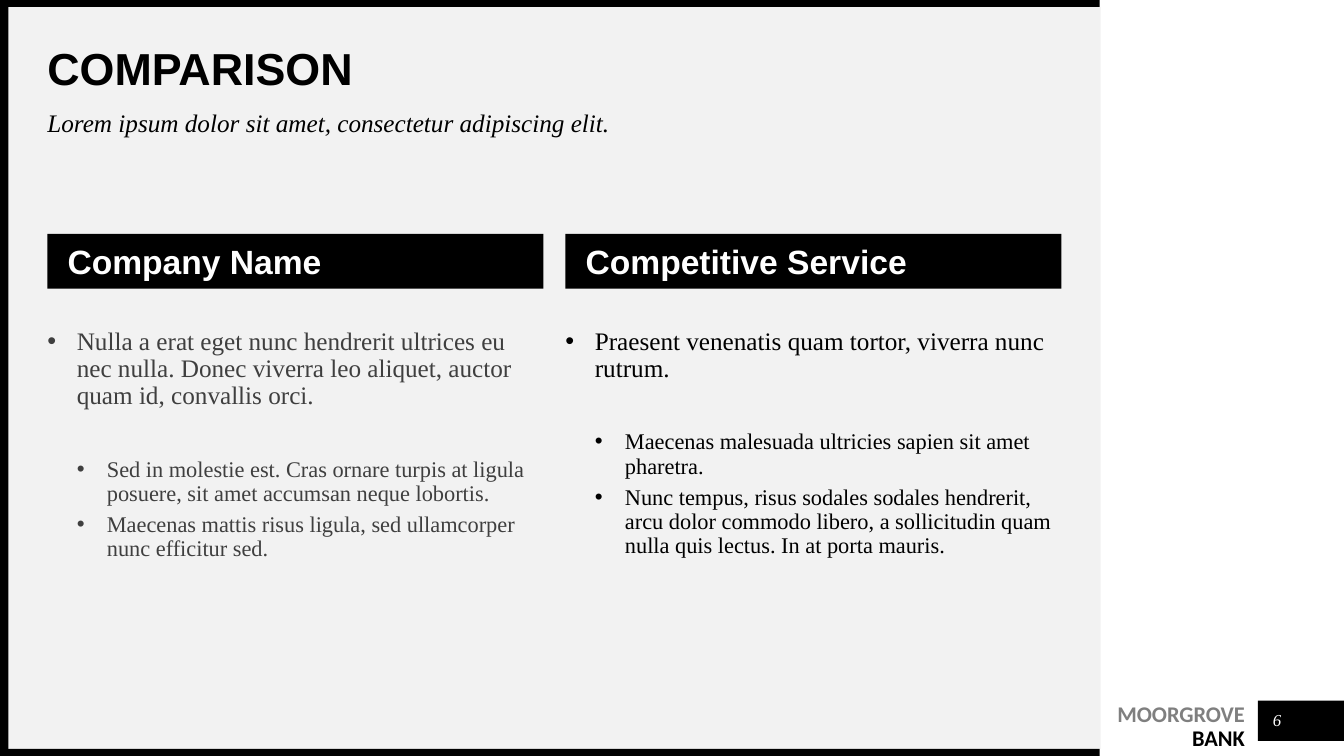
from dataclasses import dataclass

import lxml.etree
import pptx
import pptx.dml.color
import pptx.enum.shapes
import pptx.enum.text
import pptx.oxml.ns
import pptx.util

Pt = pptx.util.Pt
ALIGN = pptx.enum.text.PP_ALIGN
ANCHOR = pptx.enum.text.MSO_ANCHOR

COLORS = {
    "black": "000000",
    "white": "FFFFFF",
    "panel": "F2F2F2",
    "charcoal": "3F3F3F",
    "gray": "7F7F7F",
}
FORMATS = {
    "title": {"name": "Arial", "size": Pt(32), "bold": True},
    "subtitle": {"name": "Times New Roman", "size": Pt(18), "italic": True},
    "heading": {"name": "Arial", "size": Pt(24), "bold": True},
    "point": {"name": "Times New Roman", "size": Pt(18)},
    "detail": {"name": "Times New Roman", "size": Pt(16)},
    "wordmark": {"name": "Calibri", "size": Pt(16), "bold": True},
    "number": {"name": "Times New Roman", "size": Pt(12), "italic": True},
}


@dataclass
class Box:
    left: float
    top: float
    width: float
    height: float


@dataclass
class Block:
    box: Box
    color: str


@dataclass
class Label:
    box: Box
    text: str
    style: str
    color: str = "black"
    anchor: ANCHOR = ANCHOR.TOP
    align: ALIGN = ALIGN.LEFT


@dataclass
class Column:
    heading: str
    color: str
    point: str
    details: list[str]


BLOCKS = [
    Block(Box(5.76, 5.04, 780.48, 529.92), "panel"),
    Block(Box(898.56, 500.4, 61.44, 28.8), "black"),
    Block(Box(0, 535, 785.52, 5), "black"),
    Block(Box(0, 0, 785.52, 5), "black"),
    Block(Box(0, 0, 6, 540), "black"),
]
MARGIN = 33.84
LABELS = [
    Label(Box(MARGIN, 33.84, 724.32, 33.84), "COMPARISON", "title", anchor=ANCHOR.MIDDLE),
    Label(Box(MARGIN, 79.2, 724.32, 28.08),
          "Lorem ipsum dolor sit amet, consectetur adipiscing elit.", "subtitle"),
    Label(Box(901.44, 504, 21.6, 21.6), "6", "number", "white", ANCHOR.MIDDLE, ALIGN.CENTER),
]
COLUMN_WIDTH = 354.24
COLUMN_STEP = 370.08
COLUMNS = [
    Column(
        "Company Name", "charcoal",
        "Nulla a erat eget nunc hendrerit ultrices eu nec nulla. "
        "Donec viverra leo aliquet, auctor quam id, convallis orci.",
        ["Sed in molestie est. Cras ornare turpis at ligula posuere, "
         "sit amet accumsan neque lobortis.",
         "Maecenas mattis risus ligula, sed ullamcorper nunc efficitur sed."],
    ),
    Column(
        "Competitive Service", "black",
        "Praesent venenatis quam tortor, viverra nunc rutrum.",
        ["Maecenas malesuada ultricies sapien sit amet pharetra.",
         "Nunc tempus, risus sodales sodales hendrerit, arcu dolor commodo libero, "
         "a sollicitudin quam nulla quis lectus. In at porta mauris."],
    ),
]


def rgb(color: str) -> pptx.dml.color.RGBColor:
    return pptx.dml.color.RGBColor.from_string(COLORS[color])


def place(box: Box) -> tuple:
    return Pt(box.left), Pt(box.top), Pt(box.width), Pt(box.height)


def add_block(slide, block: Block):
    shape = slide.shapes.add_shape(
        pptx.enum.shapes.MSO_SHAPE.RECTANGLE, *place(block.box))
    shape.shadow.inherit = False
    shape.fill.solid()
    shape.fill.fore_color.rgb = rgb(block.color)
    shape.line.fill.background()
    return shape


def prepare_frame(shape, anchor: ANCHOR = ANCHOR.TOP, left: float = 0, top: float = 0):
    frame = shape.text_frame
    settings = {
        "word_wrap": True, "vertical_anchor": anchor,
        "margin_left": Pt(left), "margin_top": Pt(top),
        "margin_right": 0, "margin_bottom": 0,
    }
    for name, value in settings.items():
        setattr(frame, name, value)
    return frame


def add_run(paragraph, text: str, style: str, color: str) -> None:
    run = paragraph.add_run()
    run.text = text
    for name, value in FORMATS[style].items():
        setattr(run.font, name, value)
    run.font.color.rgb = rgb(color)


def add_label(slide, label: Label) -> None:
    shape = slide.shapes.add_textbox(*place(label.box))
    paragraph = prepare_frame(shape, label.anchor).paragraphs[0]
    paragraph.alignment = label.align
    paragraph.line_spacing = 0.9
    add_run(paragraph, label.text, label.style, label.color)


def add_bullet(paragraph, color: str, margin: float, indent: float) -> None:
    properties = paragraph._p.get_or_add_pPr()
    properties.set("marL", str(Pt(margin)))
    properties.set("indent", str(Pt(indent)))
    qn = pptx.oxml.ns.qn
    bullet_color = lxml.etree.SubElement(properties, qn("a:buClr"))
    lxml.etree.SubElement(bullet_color, qn("a:srgbClr"), val=COLORS[color])
    lxml.etree.SubElement(properties, qn("a:buFont"), typeface="Arial")
    lxml.etree.SubElement(properties, qn("a:buChar"), char="•")


def add_column(slide, column: Column, left: float) -> None:
    banner = add_block(slide, Block(Box(left, 167.04, COLUMN_WIDTH, 39.24), "black"))
    paragraph = prepare_frame(banner, ANCHOR.MIDDLE, 14.4, 2.88).paragraphs[0]
    paragraph.alignment = ALIGN.LEFT
    paragraph.line_spacing = 0.9
    add_run(paragraph, column.heading, "heading", "white")

    body = slide.shapes.add_textbox(*place(Box(left, 234.72, COLUMN_WIDTH, 198.72)))
    frame = prepare_frame(body)
    paragraph = frame.paragraphs[0]
    add_bullet(paragraph, column.color, 21, -21)
    paragraph.line_spacing = 0.9
    add_run(paragraph, column.point, "point", column.color)
    for index, detail in enumerate(column.details):
        paragraph = frame.add_paragraph()
        paragraph.level = 1
        add_bullet(paragraph, column.color, 42.5, -21.5)
        paragraph.line_spacing = 0.9
        paragraph.space_before = Pt(5 if index else 34)
        add_run(paragraph, detail, "detail", column.color)


def add_wordmark(slide) -> None:
    shape = slide.shapes.add_textbox(*place(Box(758.16, 499.68, 131.04, 31.68)))
    paragraph = prepare_frame(shape, top=2.88).paragraphs[0]
    paragraph.alignment = ALIGN.RIGHT
    paragraph.line_spacing = 0.88
    add_run(paragraph, "MOORGROVE", "wordmark", "gray")
    paragraph.add_line_break()
    add_run(paragraph, "BANK", "wordmark", "black")


def main() -> None:
    presentation = pptx.Presentation()
    presentation.slide_width = Pt(960)
    presentation.slide_height = Pt(540)
    slide = presentation.slides.add_slide(presentation.slide_layouts[6])
    for block in BLOCKS:
        add_block(slide, block)
    add_wordmark(slide)
    for label in LABELS:
        add_label(slide, label)
    for index, column in enumerate(COLUMNS):
        add_column(slide, column, MARGIN + index * COLUMN_STEP)
    presentation.save("out.pptx")


if __name__ == "__main__":
    main()
